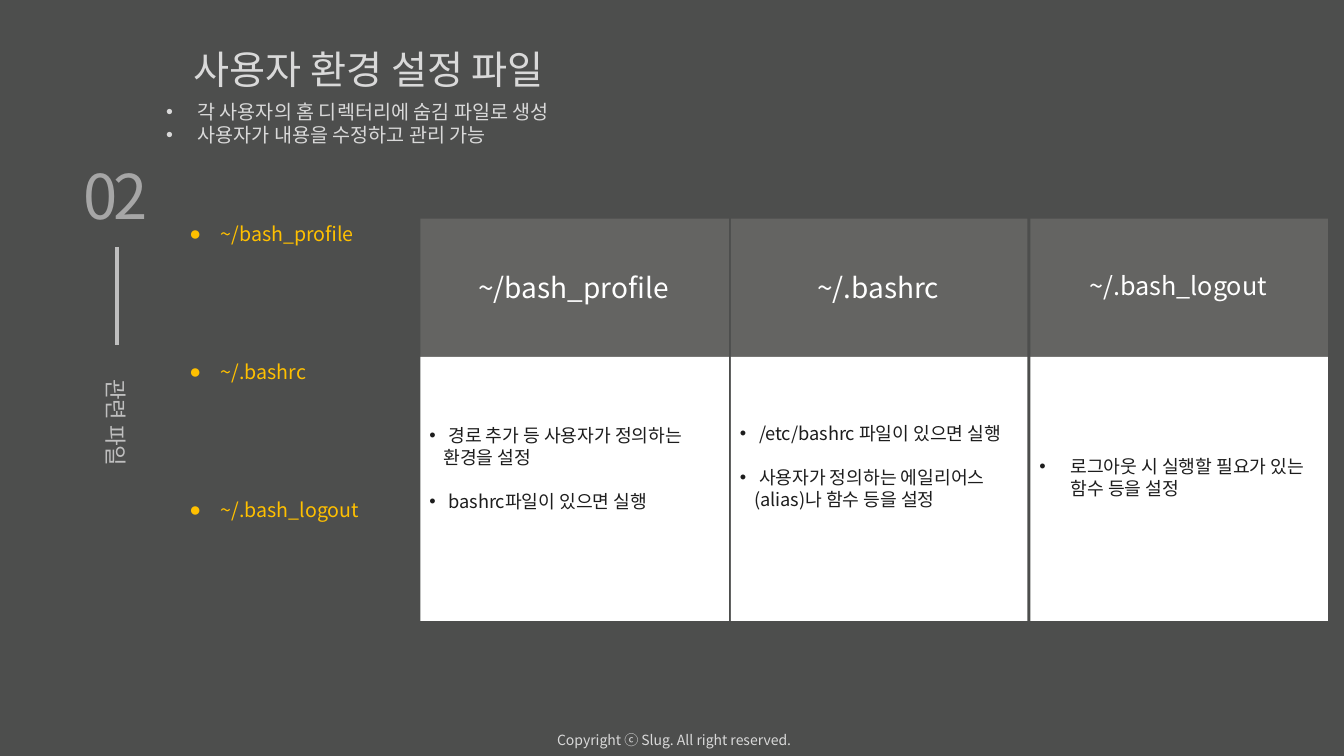
from pptx import Presentation
from pptx.util import Inches, Pt
from pptx.dml.color import RGBColor
from pptx.enum.shapes import MSO_SHAPE, MSO_CONNECTOR
from pptx.enum.text import PP_ALIGN
from lxml.etree import SubElement
from pptx.oxml.ns import qn

FONT = "Noto Sans CJK KR"
BACK = RGBColor(0x4D, 0x4E, 0x4D)
HEAD = RGBColor(0x64, 0x64, 0x62)
WHITE = RGBColor(0xFF, 0xFF, 0xFF)
DARK = RGBColor(0x1D, 0x1D, 0x1D)
PALE = RGBColor(0xD9, 0xD9, 0xD9)
SILVER = RGBColor(0xBF, 0xBF, 0xBF)
GRAY = RGBColor(0xA6, 0xA6, 0xA6)
GOLD = RGBColor(0xFF, 0xC0, 0x00)

deck = Presentation()
deck.slide_width = Inches(13.33)
deck.slide_height = Inches(7.5)
slide = deck.slides.add_slide(deck.slide_layouts[6])
slide.background.fill.solid()
slide.background.fill.fore_color.rgb = BACK


def write(text, x, y, w, h, size, color, center=False, bullet=None,
          hang=0.31, gap=0, turn=0, track=0):
    box = slide.shapes.add_textbox(Inches(x), Inches(y), Inches(w), Inches(h))
    box.rotation = turn
    frame = box.text_frame
    frame.word_wrap = True
    for i, line in enumerate(text.split("\n")):
        para = frame.paragraphs[0] if i == 0 else frame.add_paragraph()
        if center:
            para.alignment = PP_ALIGN.CENTER
        props = para._p.get_or_add_pPr()
        more = line.startswith(">")
        if more:
            props.set("marL", str(Inches(0.14)))
        elif bullet:
            if i:
                para.space_before = Pt(gap)
            props.set("marL", str(Inches(hang)))
            props.set("indent", str(-Inches(hang)))
            SubElement(props, qn("a:buFont")).set("typeface", "Arial")
            SubElement(props, qn("a:buChar")).set("char", bullet)
        run = para.add_run()
        run.text = line.lstrip(">")
        run.font.size = Pt(size)
        run.font.name = FONT
        run.font.color.rgb = color
        mark = run._r.get_or_add_rPr()
        SubElement(mark, qn("a:ea")).set("typeface", FONT)
        if track:
            mark.set("spc", str(track * 100))


write("사용자 환경 설정 파일", 1.82, 0.4, 4.65, 0.57, 28, PALE)
write("각 사용자의 홈 디렉터리에 숨김 파일로 생성\n사용자가 내용을 수정하고 관리 가능",
      1.55, 0.94, 8.41, 0.57, 14, PALE, bullet="•")

write("02", 0.53, 1.52, 1.24, 0.84, 44, GRAY, center=True, track=-3)
rule = slide.shapes.add_connector(MSO_CONNECTOR.STRAIGHT, Inches(1.16),
                                  Inches(2.45), Inches(1.16), Inches(3.42))
rule.line.color.rgb = SILVER
rule.line.width = Pt(2.25)
SubElement(rule._element.spPr, qn("a:effectLst"))
write("관련 파일", -0.03, 4.66, 2.36, 0.37, 16, SILVER, turn=90)

cols = [
    ("~/bash_profile", 4.17, 3.06, 20, 4.16, 0.19,
     "경로 추가 등 사용자가 정의하는\n>환경을 설정\nbashrc파일이 있으면 실행"),
    ("~/.bashrc", 7.25, 2.94, 20, 4.14, 0.19,
     "/etc/bashrc 파일이 있으면 실행\n사용자가 정의하는 에일리어스\n>(alias)나 함수 등을 설정"),
    ("~/.bash_logout", 10.22, 2.95, 18, 4.47, 0.31,
     "로그아웃 시 실행할 필요가 있는 함수 등을 설정"),
]
for i, (name, x, w, size, y, hang, body) in enumerate(cols):
    write(name, 1.78, 2.15 + 1.37 * i, 2.37, 0.34, 14, GOLD, bullet="●")
    for top, high, color in ((2.17, 1.37, HEAD), (3.54, 2.62, WHITE)):
        card = slide.shapes.add_shape(MSO_SHAPE.RECTANGLE, Inches(x), Inches(top),
                                      Inches(w), Inches(high))
        card.shadow.inherit = False
        card.fill.solid()
        card.fill.fore_color.rgb = color
        card.line.fill.background()
    write(name, x - 0.01, 2.63, w, 0.44, size, WHITE, center=True)
    write(body, x - 0.01, y, w + 0.01, 1.19, 13, DARK, bullet="•", hang=hang, gap=16)

write("Copyright ⓒ Slug. All right reserved.", 5.08, 7.21, 3.21, 0.27, 10, PALE, center=True)
deck.save("out.pptx")
